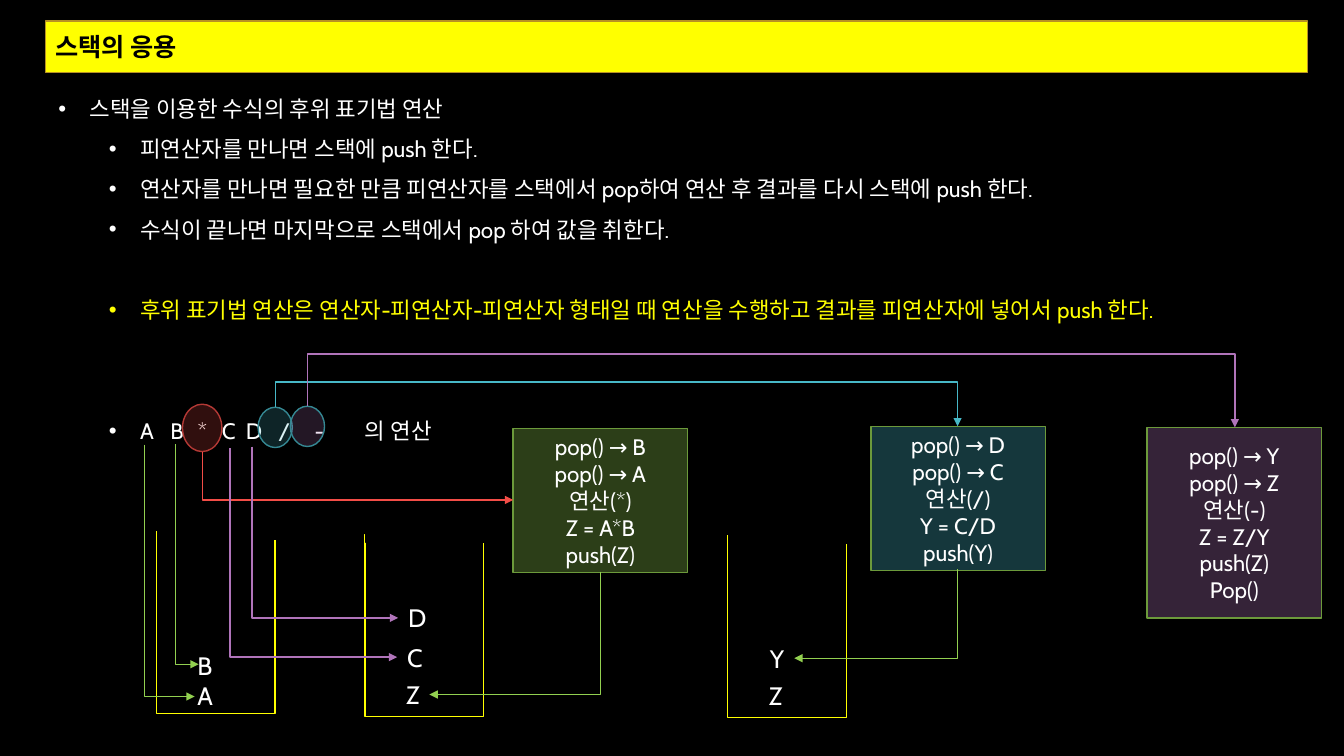
from lxml import etree
from pptx import Presentation
from pptx.dml.color import RGBColor
from pptx.enum.shapes import MSO_CONNECTOR, MSO_SHAPE
from pptx.enum.text import MSO_ANCHOR, MSO_AUTO_SIZE, PP_ALIGN
from pptx.oxml.ns import qn
from pptx.util import Inches, Pt

RECT, OVAL = MSO_SHAPE.RECTANGLE, MSO_SHAPE.OVAL
ELBOW = MSO_CONNECTOR.ELBOW
LEFT, CENTER = PP_ALIGN.LEFT, PP_ALIGN.CENTER
MIDDLE, TOP = MSO_ANCHOR.MIDDLE, MSO_ANCHOR.TOP

WIDTH, HEIGHT = Inches(13.33), Inches(7.5)
FONT = "Cabin"
COLORS = {
    "black": "000000", "white": "FFFFFF", "yellow": "FFFF00", "gold": "B79024",
    "green": "92D050", "moss": "6C9A3B", "red": "F34D47", "brick": "B43935",
    "teal": "47B8C7", "sea": "358893", "purple": "B074BA",
}
# Text, level, colour, space before in points
RULES = [
    ("스택을 이용한 수식의 후위 표기법 연산", 0, "white", 0),
    ("피연산자를 만나면 스택에 push 한다.", 1, "white", 0),
    ("연산자를 만나면 필요한 만큼 피연산자를 스택에서 pop하여 연산 후 결과를 다시 스택에 push 한다.",
     1, "white", 0),
    ("수식이 끝나면 마지막으로 스택에서 pop 하여 값을 취한다.", 1, "white", 0),
    ("후위 표기법 연산은 연산자-피연산자-피연산자 형태일 때 연산을 수행하고 결과를 피연산자에 넣어서 push 한다.",
     1, "yellow", 28.8),
    ("A\tB\t*\tC\tD\t/\t-\t의 연산", 1, "white", 57.6),
]
TOKEN_STOPS = [1.11, 1.38, 1.62, 1.86, 2.18, 2.54, 3.04]
BOX_WIDTH, STACK_WIDTH, STACK_HEIGHT = 12.98, 8.85, 24.13


def across(share):
    """Percent of the slide's width."""
    return round(WIDTH * share / 100)


def down(share):
    """Percent of the slide's height."""
    return round(HEIGHT * share / 100)


def area(left, top, width, height):
    return across(left), down(top), across(width), down(height)


def rgb(name):
    return RGBColor.from_string(COLORS[name])


def paint(shape, fill, line, opacity=100):
    shape.fill.solid()
    shape.fill.fore_color.rgb = rgb(fill)
    if opacity < 100:
        color = shape.fill._xPr.find(qn("a:solidFill"))[0]
        etree.SubElement(color, qn("a:alpha"), val=str(opacity * 1000))
    shape.line.color.rgb = rgb(line)
    shape.line.width = Pt(1)


def style(para, size, color="white", align=LEFT, bold=False):
    para.alignment = align
    para.font.name, para.font.size, para.font.bold = FONT, Pt(size), bold
    para.font.color.rgb = rgb(color)


def write(shape, lines, size, align=LEFT, anchor=TOP):
    frame = shape.text_frame
    frame.word_wrap, frame.vertical_anchor = True, anchor
    frame.text = "\n".join(lines)
    for para in frame.paragraphs:
        style(para, size, align=align)


def place(holder, bounds, anchor):
    holder.left, holder.top, holder.width, holder.height = bounds
    frame = holder.text_frame
    frame.word_wrap, frame.vertical_anchor = True, anchor
    frame.auto_size = MSO_AUTO_SIZE.NONE


def add_title(page, text):
    title = page.shapes.title
    place(title, area(3.38, 2.8, 93.9, 6.8), MIDDLE)
    outline = etree.SubElement(title._element.spPr, qn("a:prstGeom"), prst="roundRect")
    etree.SubElement(outline, qn("a:avLst"))
    paint(title, "yellow", "gold")
    title.text_frame.text = text
    style(title.text_frame.paragraphs[0], 18, "black", bold=True)


def add_bullet(para, level):
    """Give a hanging bullet, and tab stops where the text is tabbed."""
    props = para._p.get_or_add_pPr()
    props.set("marL", str(Inches(0.81 if level else 0.31)))
    props.set("indent", str(-Inches(0.31)))
    parts = [etree.Element(qn("a:buFont"), typeface="Arial"),
             etree.Element(qn("a:buChar"), char="•")]
    if "\t" in para.text:
        stops = etree.Element(qn("a:tabLst"))
        for stop in TOKEN_STOPS:
            etree.SubElement(stops, qn("a:tab"), pos=str(Inches(stop)), algn="l")
        parts.append(stops)
    for part in parts:
        props.find(qn("a:defRPr")).addprevious(part)


def add_rules(page):
    body = page.placeholders[1]
    place(body, area(3.6, 10.13, 93.6, 86.13), TOP)
    paint(body, "black", "black")
    body.text_frame.text = "\n".join(rule[0] for rule in RULES)
    for para, (_, level, color, gap) in zip(body.text_frame.paragraphs, RULES):
        para.level, para.line_spacing, para.space_before = level, 1.5, Pt(gap)
        style(para, 16, color)
        add_bullet(para, level)


def add_figure(page, kind, bounds, fill, line, opacity=100):
    figure = page.shapes.add_shape(kind, *area(*bounds))
    figure.shadow.inherit = False
    paint(figure, fill, line, opacity)
    return figure


def add_stack(page, left, top):
    """Draw an open-topped container: a frame with its upper edge masked."""
    add_figure(page, RECT, (left, top, STACK_WIDTH, STACK_HEIGHT), "black", "yellow")
    add_figure(page, RECT, (left + 0.08, top - 2, STACK_WIDTH, 3.07), "black", "black")


def add_operation(page, left, top, height, color, lines):
    box = add_figure(page, RECT, (left, top, BOX_WIDTH, height), color, "moss", 30)
    write(box, lines, 16, CENTER, MIDDLE)


def add_label(page, left, top, *lines):
    label = page.shapes.add_textbox(*area(left, top, 2.48, 1.2 + 4.13 * len(lines)))
    write(label, lines, 18)


def add_bent_arrow(page, start, end, color, weight, bus=None):
    """Leave start vertically; turn once, or run along the height bus."""
    (x1, y1), (x2, y2) = [(across(x), down(y)) for x, y in (start, end)]
    run, drop = abs(x2 - x1), y2 - y1
    left, top = (x1 + x2 - drop) // 2, (y1 + y2 - run) // 2
    arrow = page.shapes.add_connector(ELBOW, left, top, left + drop, top + run)
    arrow.line.color.rgb, arrow.line.width = rgb(color), Pt(weight)
    etree.SubElement(arrow.line._get_or_add_ln(), qn("a:tailEnd"), type="triangle")
    props = arrow._element.spPr
    etree.SubElement(props, qn("a:effectLst"))
    frame, outline = props.find(qn("a:xfrm")), props.find(qn("a:prstGeom"))
    frame.set("rot", str((270 if x2 > x1 else 90) * 60000))
    if x2 > x1:
        frame.set("flipH", "1")
    if bus is None:
        outline.set("prst", "bentConnector2")
    else:
        share = round((down(bus) - y1) / drop * 100000)
        guides = outline.find(qn("a:avLst"))
        etree.SubElement(guides, qn("a:gd"), name="adj1", fmla=f"val {share}")


def main():
    deck = Presentation()
    deck.slide_width, deck.slide_height = WIDTH, HEIGHT
    page = deck.slides.add_slide(deck.slide_layouts[1])
    page.background.fill.solid()
    page.background.fill.fore_color.rgb = rgb("black")
    add_title(page, "스택의 응용")
    add_rules(page)

    for left, top in [(11.63, 70.27), (27.15, 70.67), (54.15, 70.8)]:
        add_stack(page, left, top)
    for label in [(13.95, 85.33, "B", "A"), (29.48, 89.2, "Z"), (29.55, 84.27, "C"),
                  (29.63, 79.07, "D"), (56.48, 89.33, "Z"), (56.55, 84.4, "Y")]:
        add_label(page, *label)

    add_operation(page, 38.18, 56.67, 19.07, "green",
                  ["pop() → B", "pop() → A", "연산(*)", "Z = A*B", "push(Z)"])
    add_operation(page, 64.8, 56.4, 19.07, "teal",
                  ["pop() → D", "pop() → C", "연산(/)", "Y = C/D", "push(Y)"])
    add_operation(page, 85.35, 56.53, 25.2, "purple",
                  ["pop() → Y", "pop() → Z", "연산(-)", "Z = Z/Y", "push(Z)", "Pop()"])

    add_figure(page, OVAL, (13.58, 53.47, 2.93, 6.27), "red", "brick", 20)
    add_figure(page, OVAL, (19.2, 53.87, 2.55, 5.33), "teal", "sea", 20)
    add_figure(page, OVAL, (21.6, 53.73, 2.55, 5.33), "purple", "sea", 20)

    for arrow in [
        ((10.73, 58.8), (14.48, 92.13), "green", 0.5),
        ((13.05, 58.8), (14.78, 87.87), "green", 0.5),
        ((15.08, 59.73), (38.18, 66.13), "red", 1),
        ((44.7, 75.6), (31.95, 91.87), "green", 0.5),
        ((17.1, 59.33), (29.55, 86.93), "purple", 1),
        ((18.75, 59.07), (29.63, 81.73), "purple", 1),
        ((20.48, 53.87), (71.25, 56.4), "teal", 1, 50.53),
        ((71.25, 75.33), (59.1, 87.07), "green", 0.5),
        ((22.88, 53.73), (91.88, 56.53), "purple", 1, 46.8),
    ]:
        add_bent_arrow(page, *arrow)
    deck.save("out.pptx")


if __name__ == "__main__":
    main()
